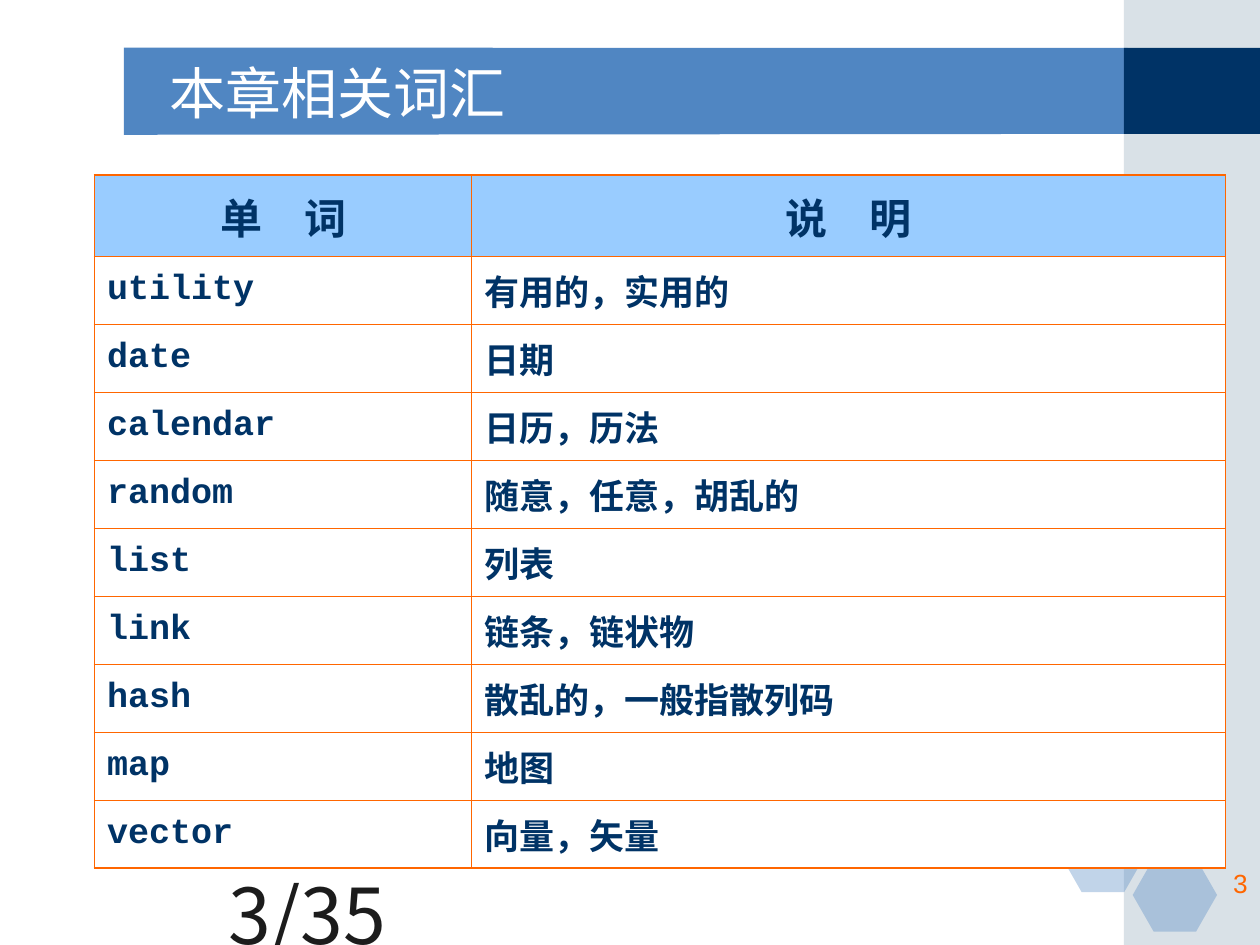
from lxml import etree
from pptx import Presentation
from pptx.dml.color import RGBColor
from pptx.enum.shapes import MSO_SHAPE
from pptx.enum.text import MSO_ANCHOR, PP_ALIGN
from pptx.oxml.ns import qn
from pptx.util import Pt

RECT, HEXAGON = MSO_SHAPE.RECTANGLE, MSO_SHAPE.HEXAGON
TOP, MIDDLE = MSO_ANCHOR.TOP, MSO_ANCHOR.MIDDLE
LEFT, CENTER, RIGHT = PP_ALIGN.LEFT, PP_ALIGN.CENTER, PP_ALIGN.RIGHT

WHITE = RGBColor(0xFF, 0xFF, 0xFF)
BLUE = RGBColor(0x50, 0x86, 0xC2)
NAVY = RGBColor(0x00, 0x33, 0x66)
GREY_BLUE = RGBColor(0xA0, 0xB5, 0xC4)
LIGHT_BLUE = RGBColor(0x99, 0xCC, 0xFF)
ORANGE = RGBColor(0xFF, 0x66, 0x00)
BLACK = RGBColor(0x1C, 0x1C, 0x1C)

CJK_FONT = "Noto Sans CJK SC"
INNER, OUTER = 0.75, 1.08

HEADER = ("单　词", "说　明")
WORDS = [
    ("utility", "有用的，实用的"),
    ("date", "日期"),
    ("calendar", "日历，历法"),
    ("random", "随意，任意，胡乱的"),
    ("list", "列表"),
    ("link", "链条，链状物"),
    ("hash", "散乱的，一般指散列码"),
    ("map", "地图"),
    ("vector", "向量，矢量"),
]


class SlideBuilder:
    def __init__(self, s):
        self.s = s

    def paint(self, sp, color, alpha=None):
        sp.shadow.inherit = False
        sp.fill.solid()
        sp.fill.fore_color.rgb = color
        sp.line.fill.background()
        if alpha is not None:
            clr = sp._element.spPr.find(qn("a:solidFill")).find(qn("a:srgbClr"))
            etree.SubElement(clr, qn("a:alpha"), val=str(alpha * 1000))

    def shape(self, kind, x, y, w, h, color, alpha=None):
        sp = self.s.shapes.add_shape(kind, Pt(x), Pt(y), Pt(w), Pt(h))
        self.paint(sp, color, alpha)
        return sp

    def hexagon(self, x, y):
        sp = self.shape(HEXAGON, x, y, 48.2, 41.8, BLUE, 35)
        sp.adjustments[0] = 0.286

    def polygon(self, points, color):
        points = [(Pt(x), Pt(y)) for x, y in points]
        fb = self.s.shapes.build_freeform(*points[0])
        fb.add_line_segments(points[1:], close=True)
        self.paint(fb.convert_to_shape(), color)

    def fill_text(self, tf, text, size, font, color, align=LEFT, bold=False):
        tf.text = text
        p = tf.paragraphs[0]
        p.alignment = align
        r = p.runs[0]
        r.font.name = font
        r.font.size = Pt(size)
        r.font.bold = bold
        r.font.color.rgb = color
        etree.SubElement(r.font._element, qn("a:ea"), typeface=CJK_FONT)

    def text(self, x, y, w, h, text, size, font, color, align=LEFT, anchor=TOP):
        tf = self.s.shapes.add_textbox(Pt(x), Pt(y), Pt(w), Pt(h)).text_frame
        tf.word_wrap = True
        tf.vertical_anchor = anchor
        self.fill_text(tf, text, size, font, color, align)

    def borders(self, cell, outer_sides):
        tcPr = cell._tc.get_or_add_tcPr()
        for side in "LRTB":
            width = OUTER if side in outer_sides else INNER
            ln = etree.SubElement(tcPr, qn("a:ln" + side), w=str(int(Pt(width))))
            fill = etree.SubElement(ln, qn("a:solidFill"))
            etree.SubElement(fill, qn("a:srgbClr"), val=str(ORANGE))

    def table(self, x, y, widths, heights, rows):
        frame = self.s.shapes.add_table(len(rows), len(widths), Pt(x), Pt(y),
                                        Pt(sum(widths)), Pt(sum(heights)))
        table = frame.table
        table.first_row = table.horz_banding = False
        for col, width in zip(table.columns, widths):
            col.width = Pt(width)
        for i, values in enumerate(rows):
            table.rows[i].height = Pt(heights[i])
            head = i == 0
            for j, value in enumerate(values):
                cell = table.cell(i, j)
                cell.vertical_anchor = MIDDLE
                sides = "L" if j == 0 else "R"
                if head:
                    sides += "T"
                elif i == len(rows) - 1:
                    sides += "B"
                self.borders(cell, sides)
                cell.fill.solid()
                cell.fill.fore_color.rgb = LIGHT_BLUE if head else WHITE
                self.fill_text(cell.text_frame, value, 24 if head else 20,
                               "Courier New", NAVY, CENTER if head else LEFT, True)


def main():
    prs = Presentation()
    prs.slide_width, prs.slide_height = Pt(720), Pt(540)
    b = SlideBuilder(prs.slides.add_slide(prs.slide_layouts[6]))

    b.polygon([(70.8, 27.2), (644.4, 27.4), (644.4, 76.5), (70.8, 77)], BLUE)
    b.shape(RECT, 642.2, 0, 77.8, 540, GREY_BLUE, 40)
    b.shape(RECT, 642.2, 27.4, 77.8, 49.1, NAVY)
    for x, y in [(606.2, 468), (648, 444.2), (647.3, 490.5)]:
        b.hexagon(x, y)

    b.text(90, 30.2, 528, 44.6, "本章相关词汇", 32, "DejaVu Sans", WHITE, anchor=MIDDLE)
    b.text(0, 492, 228, 36, "3/35", 44, CJK_FONT, BLACK, RIGHT)
    b.text(570, 492, 150, 36, "3", 15, "Arial", ORANGE, RIGHT)

    b.table(54, 100, [215.5, 430.8], [46.6] + [38.86] * len(WORDS), [HEADER] + WORDS)
    prs.save("out.pptx")


if __name__ == "__main__":
    main()
